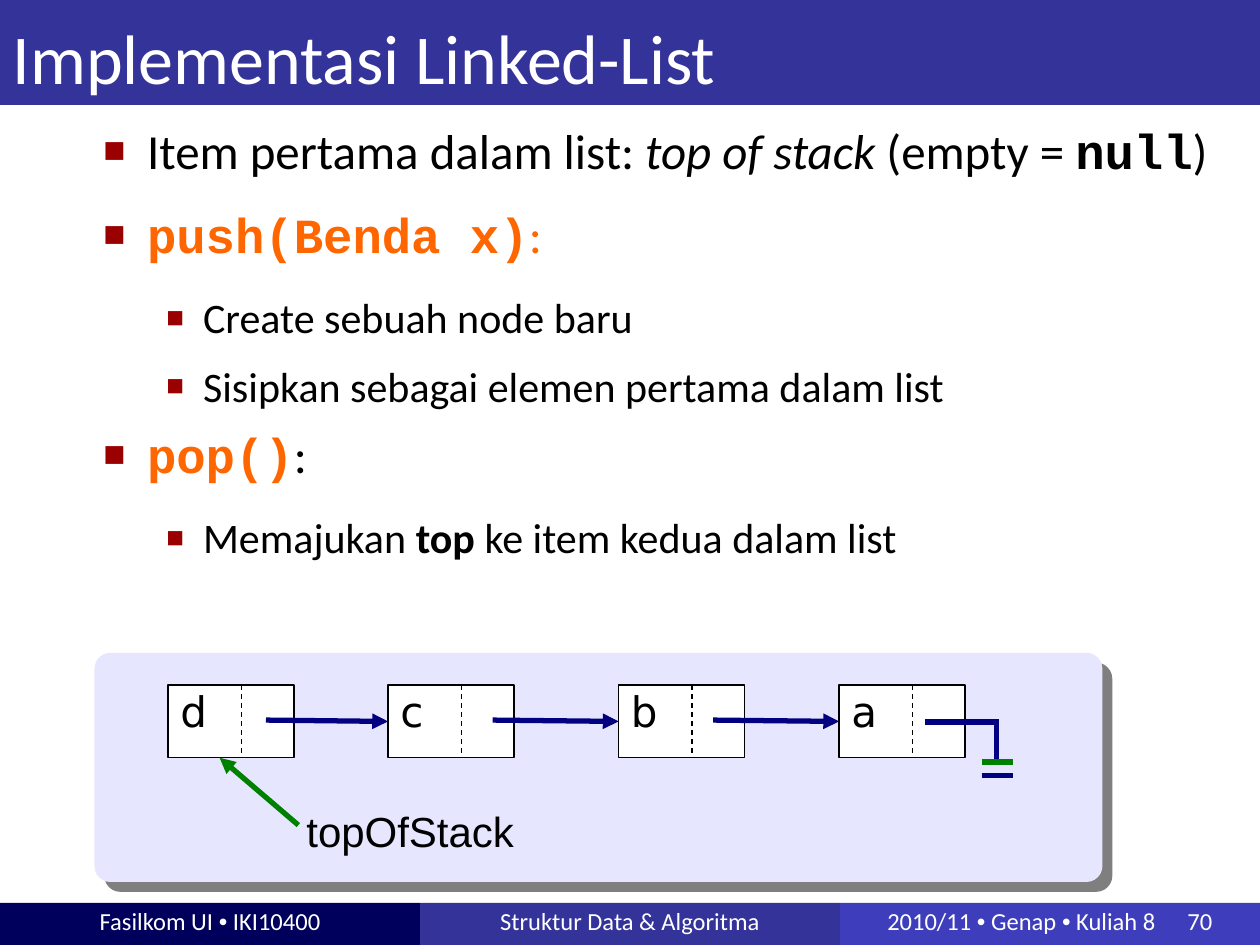
"""Build the slide on stacks made from a linked list."""
from lxml.etree import SubElement as Sub
from pptx import Presentation
from pptx.dml.color import RGBColor as Rgb
from pptx.enum.dml import MSO_LINE as Dash
from pptx.enum.shapes import MSO_CONNECTOR as Wire, MSO_SHAPE as Kind
from pptx.enum.text import MSO_ANCHOR as Anchor, MSO_AUTO_SIZE as Fit, PP_ALIGN as Align
from pptx.oxml.ns import qn
from pptx.util import Pt

HUES = {
    "white": "FFFFFF", "black": "000000", "night": "00005C", "blue": "333399",
    "sky": "3E3EBC", "red": "9A0000", "orange": "FF6600", "pale": "E6E6FF",
    "navy": "000080", "green": "008000",
}
CODE = {"font": "Courier New", "bold": True}
CALL = {**CODE, "hue": "orange"}
BULLETS = [
    {"left": 25, "hang": 25, "scale": 75, "before": 3, "after": 6, "size": 28},
    {"left": 57, "hang": 21, "scale": 70, "before": 6, "after": 0, "size": 24},
]
POINTS = [
    (0, [("Item pertama dalam list: ", {}), ("top of stack", {"slant": True}),
         (" (empty = ", {}), ("null", CODE), (")", {})]),
    (0, [("push(Benda x)", CALL), (":", {"hue": "orange"})]),
    (1, [("Create sebuah node baru", {})]),
    (1, [("Sisipkan sebagai elemen pertama dalam list", {})]),
    (0, [("pop()", CALL), (":", {})]),
    (1, [("Memajukan ", {}), ("top", {"bold": True}), (" ke item kedua dalam list", {})]),
]
DOT = ("•", {"font": "Arial"})
NODES = [("d", 96), ("c", 221.75), ("b", 353.5), ("a", 479.5)]
STARTS = [152, 281.5, 407.5]
WIRES = [
    ((528.5, 412.5), (571, 412.5), "navy"),
    ((569.5, 412.5), (569.5, 436), "navy"),
    ((561, 435.5), (579, 435.5), "green"),
    ((561, 443), (579, 443), "navy"),
]


def write(para, text, size=24, font="Calibri", hue="black", bold=False, slant=False):
    """Add one formatted run to a paragraph."""
    run = para.add_run()
    run.text = text
    face = run.font
    face.size, face.name, face.bold, face.italic = Pt(size), font, bold, slant
    face.color.rgb = Rgb.from_string(HUES[hue])


class Deck:
    """Hold the style and the current slide."""

    def __init__(self, wide, high):
        """Open a deck with one title-only slide."""
        self.deck = Presentation()
        self.deck.slide_width, self.deck.slide_height = Pt(wide), Pt(high)
        self.slide = self.deck.slides.add_slide(self.deck.slide_layouts[5])
        self.shapes = self.slide.shapes

    def paint(self, shape, hue):
        """Give a shape a solid fill."""
        shape.fill.solid()
        shape.fill.fore_color.rgb = Rgb.from_string(HUES[hue])

    def frame(self, shape, anchor=Anchor.TOP, pads=(7.2, 3.6, 7.2, 3.6), wrap=True):
        """Set up the text frame of a shape and return it."""
        frame = shape.text_frame
        frame.auto_size, frame.word_wrap = Fit.NONE, wrap
        frame.vertical_anchor = anchor
        (frame.margin_left, frame.margin_top,
         frame.margin_right, frame.margin_bottom) = map(Pt, pads)
        return frame

    def title(self, text, spot):
        """Fill and place the title."""
        shape = self.shapes.title
        shape.left, shape.top, shape.width, shape.height = map(Pt, spot)
        self.paint(shape, "blue")
        para = self.frame(shape, Anchor.BOTTOM).paragraphs[0]
        para.alignment, para.line_spacing = Align.LEFT, 1.15
        write(para, text, size=40, hue="white")

    def box(self, spot, fill, kind=Kind.RECTANGLE, edge=None):
        """Draw a filled shape."""
        shape = self.shapes.add_shape(kind, *map(Pt, spot))
        shape.shadow.inherit = False
        self.paint(shape, fill)
        if edge:
            shape.line.color.rgb = Rgb.from_string(HUES[edge])
            shape.line.width = Pt(0.75)
        else:
            shape.line.fill.background()
        return shape

    def panel(self, spot):
        """Draw the rounded panel with its shadow."""
        shape = self.box(spot, "pale", Kind.ROUNDED_RECTANGLE)
        shape.adjustments[0] = 0.07
        glow = Sub(shape._element.spPr.find(qn("a:effectLst")), qn("a:outerShdw"),
                   blurRad="0", dist=str(Pt(8)), dir="2700000", algn="tl", rotWithShape="0")
        shade = Sub(glow, qn("a:srgbClr"), val=HUES["black"])
        Sub(shade, qn("a:alpha"), val="50000")

    def bar(self, left, fill, runs, page=None):
        """Draw one third of the footer, with the page number if any."""
        inset = 27 if page else 7.2
        shape = self.box((left, 516, 240, 24), fill)
        para = self.frame(shape, Anchor.MIDDLE, (inset, 0, 7.2, 3.6)).paragraphs[0]
        para.alignment = Align.LEFT if page else Align.CENTER
        if page:
            tabs = Sub(para._p.get_or_add_pPr(), qn("a:tabLst"))
            Sub(tabs, qn("a:tab"), pos=str(Pt(171.5)), algn="l")
            runs = runs + [("\t" + page, {})]
        for text, look in runs:
            write(para, text, size=14, hue="white", **look)

    def points(self, items, spot):
        """Write the bullet list."""
        frame = self.frame(self.shapes.add_textbox(*map(Pt, spot)))
        for rank, (level, runs) in enumerate(items):
            para = frame.add_paragraph() if rank else frame.paragraphs[0]
            rule = BULLETS[level]
            para.level = level
            props = para._p.get_or_add_pPr()
            props.set("marL", str(Pt(rule["left"])))
            props.set("indent", str(-Pt(rule["hang"])))
            Sub(Sub(props, qn("a:buClr")), qn("a:srgbClr"), val=HUES["red"])
            Sub(props, qn("a:buSzPct"), val=str(rule["scale"] * 1000))
            Sub(props, qn("a:buFont"), typeface="Arial")
            Sub(props, qn("a:buChar"), char="■")
            para.line_spacing, para.space_after = 1.15, Pt(rule["after"])
            para.space_before = Pt(rule["before"] if rank else 0)
            for text, look in runs:
                write(para, text, size=rule["size"], **look)

    def line(self, start, end, hue, width=3, dash=False, head=False):
        """Draw a straight line or arrow."""
        wire = self.shapes.add_connector(Wire.STRAIGHT, *map(Pt, start + end))
        wire.line.color.rgb = Rgb.from_string(HUES[hue])
        wire.line.width = Pt(width)
        if dash:
            wire.line.dash_style = Dash.DASH
        if head:
            Sub(wire.line._get_or_add_ln(), qn("a:tailEnd"), type="triangle")
        Sub(wire._element.spPr, qn("a:effectLst"))
        return wire

    def node(self, text, left):
        """Draw a list node with its divider."""
        shape = self.box((left, 391.5, 72, 41.5), "white", edge="black")
        para = self.frame(shape, Anchor.MIDDLE, wrap=False).paragraphs[0]
        para.alignment, para.line_spacing = Align.LEFT, 0.41
        write(para, text, font="DejaVu Sans")
        self.line((left + 42, 391.5), (left + 42, 433), "black", 0.75, dash=True)
        return shape

    def label(self, text, spot):
        """Write a plain label."""
        shape = self.shapes.add_textbox(*map(Pt, spot))
        write(self.frame(shape, wrap=False).paragraphs[0], text, font="Arial")


def main():
    """Build and save the slide."""
    deck = Deck(720, 540)
    deck.bar(0, "night", [("Fasilkom UI ", {}), DOT, (" IKI10400", {})])
    deck.bar(240, "blue", [("Struktur Data & Algoritma", {})])
    deck.bar(480, "sky", [("2010/11 ", {}), DOT, (" Genap ", {}), DOT, (" Kuliah 8", {})], "70")
    deck.title("Implementasi Linked-List", (0, 0, 720, 60))
    deck.points(POINTS, (52, 60.5, 656.5, 420))
    deck.panel((54, 373, 576, 131))
    nodes = [deck.node(text, left) for text, left in NODES]
    for start, goal in zip(STARTS, nodes[1:]):
        wire = deck.line((start, 411.5), (goal.left.pt, 411.5), "navy", head=True)
        wire.end_connect(goal, 1)
    for start, end, hue in WIRES:
        deck.line(start, end, hue)
    deck.label("topOfStack", (168, 457, 133, 36))
    deck.line((170.5, 471.5), (125.5, 433), "green", head=True)
    deck.deck.save("out.pptx")


if __name__ == "__main__":
    main()
